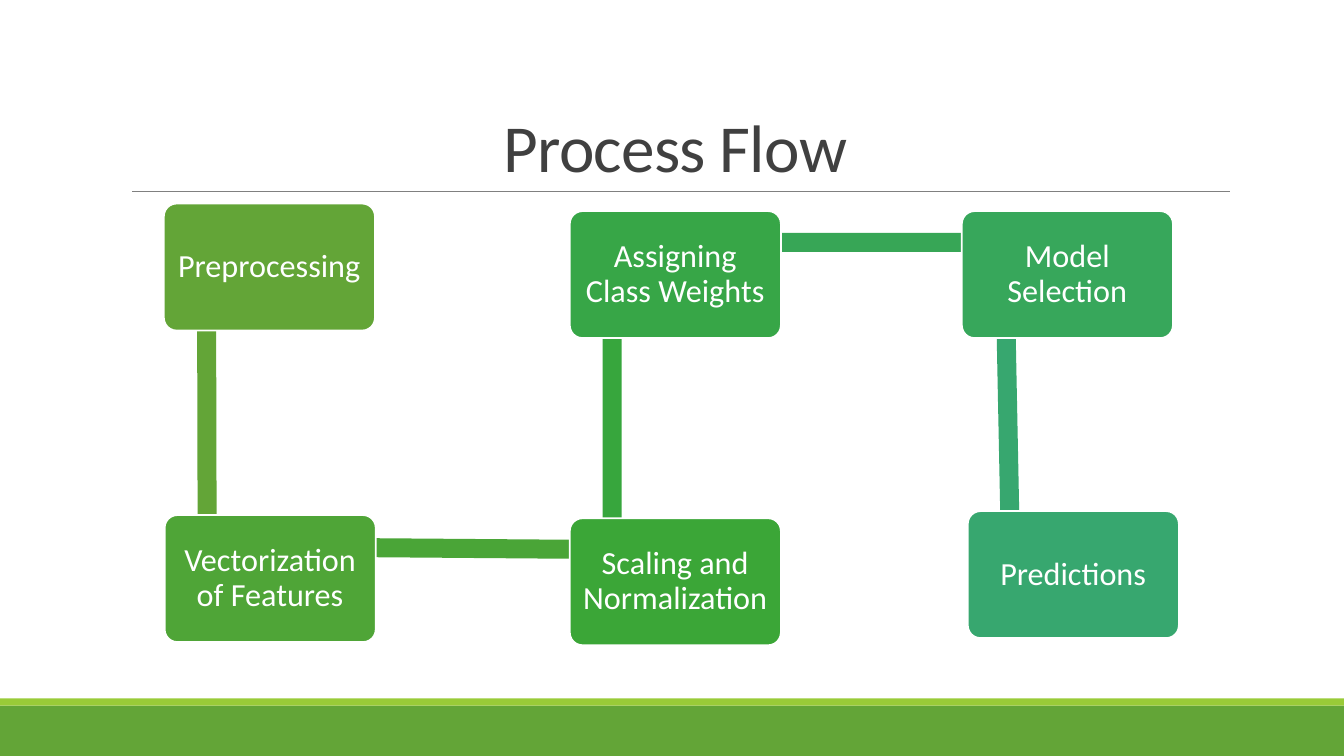
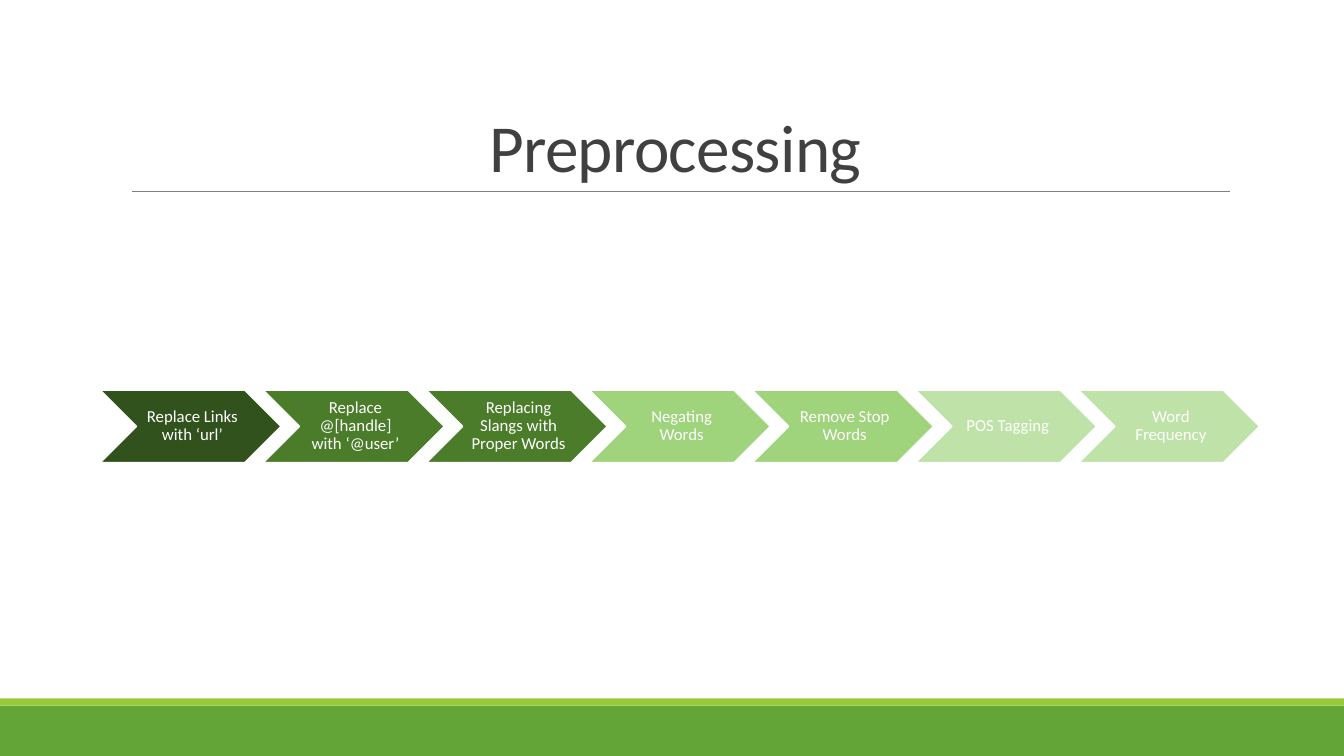
"""Build two slides: a process flow of linked boxes and a row of preprocessing steps."""
import math
from dataclasses import dataclass

import lxml.etree
import pptx
import pptx.dml.color
import pptx.enum.shapes
import pptx.enum.text
import pptx.oxml.ns
import pptx.presentation
import pptx.shapes.autoshape
import pptx.slide
import pptx.text.text
import pptx.util

Cm = pptx.util.Cm
Pt = pptx.util.Pt
Shape = pptx.enum.shapes.MSO_SHAPE
Anchor = pptx.enum.text.MSO_ANCHOR

FONT = "Calibri"
COLORS = {
    "white": "FFFFFF",
    "title": "404040",
    "rule": "808080",
    "band": "63A537",
    "stripe": "99CB38",
    "preprocessing": "63A537",
    "vectorization": "4FA537",
    "scaling": "3BA637",
    "weights": "37A647",
    "model": "37A75B",
    "predictions": "37A76F",
    "pipe_1": "63A537",
    "pipe_2": "4AA537",
    "pipe_3": "37A63D",
    "pipe_4": "37A656",
    "pipe_5": "37A76F",
    "dark": "31521C",
    "medium": "4A7C29",
    "light": "9FD47D",
    "pale": "BFE2A8",
}
SLIDE_W, SLIDE_H = 33.87, 19.05
BOX_W, BOX_H = 5.32, 3.2
PIPE_DX, PIPE_DY, PIPE_THICKNESS = 1.07, 0.79, 0.48
STEP_LEFT, STEP_TOP, STEP_PITCH = 2.52, 9.83, 4.11
STEP_W, STEP_H = 4.57, 1.83


@dataclass(frozen=True)
class Box:
    """A stage of the process, placed by its top left corner in cm."""
    text: str
    left: float
    top: float
    color: str

    @property
    def joint(self) -> tuple[float, float]:
        """Return the point inside the box where pipes meet."""
        return self.left + PIPE_DX, self.top + PIPE_DY


@dataclass(frozen=True)
class Step:
    """A chevron in the preprocessing row."""
    text: str
    color: str


@dataclass(frozen=True)
class TextStyle:
    """Size, colour, line spacing, insets (left, right, top and bottom) and tracking."""
    size: float
    color: str
    line_spacing: float
    insets: tuple[float, float, float]
    tracking: int = 0


TITLE_STYLE = TextStyle(48, "title", 0.85, (0.25, 0.25, 0.13), -50)
BOX_STYLE = TextStyle(23, "white", 0.9, (0.18, 0.18, 0.24))
STEP_STYLE = TextStyle(12, "white", 0.9, (0.13, 0.04, 0.04))

BOXES = (
    Box("Preprocessing", 4.13, 5.13, "preprocessing"),
    Box("Vectorization of Features", 4.15, 12.98, "vectorization"),
    Box("Scaling and Normalization", 14.36, 13.06, "scaling"),
    Box("Assigning Class Weights", 14.36, 5.32, "weights"),
    Box("Model Selection", 24.24, 5.32, "model"),
    Box("Predictions", 24.39, 12.88, "predictions"),
)
PIPE_COLORS = ("pipe_1", "pipe_2", "pipe_3", "pipe_4", "pipe_5")
STEPS = (
    Step("Replace Links with ‘url’", "dark"),
    Step("Replace @[handle] with ‘@user’", "medium"),
    Step("Replacing Slangs with Proper Words", "medium"),
    Step("Negating Words", "light"),
    Step("Remove Stop Words", "light"),
    Step("POS Tagging", "pale"),
    Step("Word Frequency", "pale"),
)


def rgb(name: str) -> pptx.dml.color.RGBColor:
    """Look up a named colour."""
    return pptx.dml.color.RGBColor.from_string(COLORS[name])


def write(tf: pptx.text.text.TextFrame, text: str, style: TextStyle,
          anchor: Anchor = Anchor.MIDDLE) -> None:
    """Write one centred paragraph into a text frame."""
    tf.word_wrap = True
    tf.vertical_anchor = anchor
    left, right, edge = style.insets
    tf.margin_left, tf.margin_right = Cm(left), Cm(right)
    tf.margin_top = tf.margin_bottom = Cm(edge)
    p = tf.paragraphs[0]
    p.alignment = pptx.enum.text.PP_ALIGN.CENTER
    p.line_spacing = style.line_spacing
    r = p.add_run()
    r.text = text
    r.font.name = FONT
    r.font.size = Pt(style.size)
    r.font.color.rgb = rgb(style.color)
    if style.tracking:
        r.font._element.set("spc", str(style.tracking))


def add_block(s: pptx.slide.Slide, kind: Shape, left: float, top: float, width: float,
              height: float, color: str, outlined: bool = False) -> pptx.shapes.autoshape.Shape:
    """Add a filled preset shape, with a white outline if asked."""
    sp = s.shapes.add_shape(kind, Cm(left), Cm(top), Cm(width), Cm(height))
    sp.shadow.inherit = False
    sp.fill.solid()
    sp.fill.fore_color.rgb = rgb(color)
    if outlined:
        sp.line.color.rgb = rgb("white")
        sp.line.width = Pt(1.25)
    else:
        sp.line.fill.background()
    return sp


def add_base(prs: pptx.presentation.Presentation, title: str) -> pptx.slide.Slide:
    """Add a blank slide with the footer bands, the rule and a title."""
    s = prs.slides.add_slide(prs.slide_layouts[6])
    add_block(s, Shape.RECTANGLE, 0, 17.78, SLIDE_W, 1.27, "band")
    add_block(s, Shape.RECTANGLE, 0, 17.6, SLIDE_W, 0.18, "stripe")
    rule = s.shapes.add_connector(pptx.enum.shapes.MSO_CONNECTOR.STRAIGHT,
                                  Cm(3.33), Cm(4.83), Cm(31), Cm(4.83))
    rule.line.color.rgb = rgb("rule")
    rule.line.width = Pt(0.5)
    lxml.etree.SubElement(rule._element.spPr, pptx.oxml.ns.qn("a:effectLst"))
    tb = s.shapes.add_textbox(Cm(3.05), Cm(0.79), Cm(27.94), Cm(4.04))
    write(tb.text_frame, title, TITLE_STYLE, Anchor.BOTTOM)
    return s


def add_pipe(s: pptx.slide.Slide, start: Box, end: Box, color: str) -> None:
    """Add a bar between the joints of two boxes."""
    (x1, y1), (x2, y2) = start.joint, end.joint
    length = math.dist(start.joint, end.joint)
    sp = add_block(s, Shape.RECTANGLE, (x1 + x2 - length) / 2,
                   (y1 + y2 - PIPE_THICKNESS) / 2, length, PIPE_THICKNESS, color)
    sp.rotation = math.degrees(math.atan2(y2 - y1, x2 - x1))


def add_box(s: pptx.slide.Slide, box: Box) -> None:
    """Add one stage of the process."""
    sp = add_block(s, Shape.ROUNDED_RECTANGLE, box.left, box.top, BOX_W, BOX_H, box.color, True)
    sp.adjustments[0] = 0.1
    write(sp.text_frame, box.text, BOX_STYLE)


def add_step(s: pptx.slide.Slide, index: int, step: Step) -> None:
    """Add one chevron at its place in the row."""
    sp = add_block(s, Shape.CHEVRON, STEP_LEFT + index * STEP_PITCH, STEP_TOP,
                   STEP_W, STEP_H, step.color, True)
    write(sp.text_frame, step.text, STEP_STYLE)


def main() -> None:
    """Build and save the presentation."""
    prs = pptx.Presentation()
    prs.slide_width, prs.slide_height = Cm(SLIDE_W), Cm(SLIDE_H)

    s = add_base(prs, "Process Flow")
    for start, end, color in zip(BOXES, BOXES[1:], PIPE_COLORS):
        add_pipe(s, start, end, color)
    for box in BOXES:
        add_box(s, box)

    s = add_base(prs, "Preprocessing")
    for index, step in enumerate(STEPS):
        add_step(s, index, step)

    prs.save("out.pptx")


if __name__ == "__main__":
    main()
